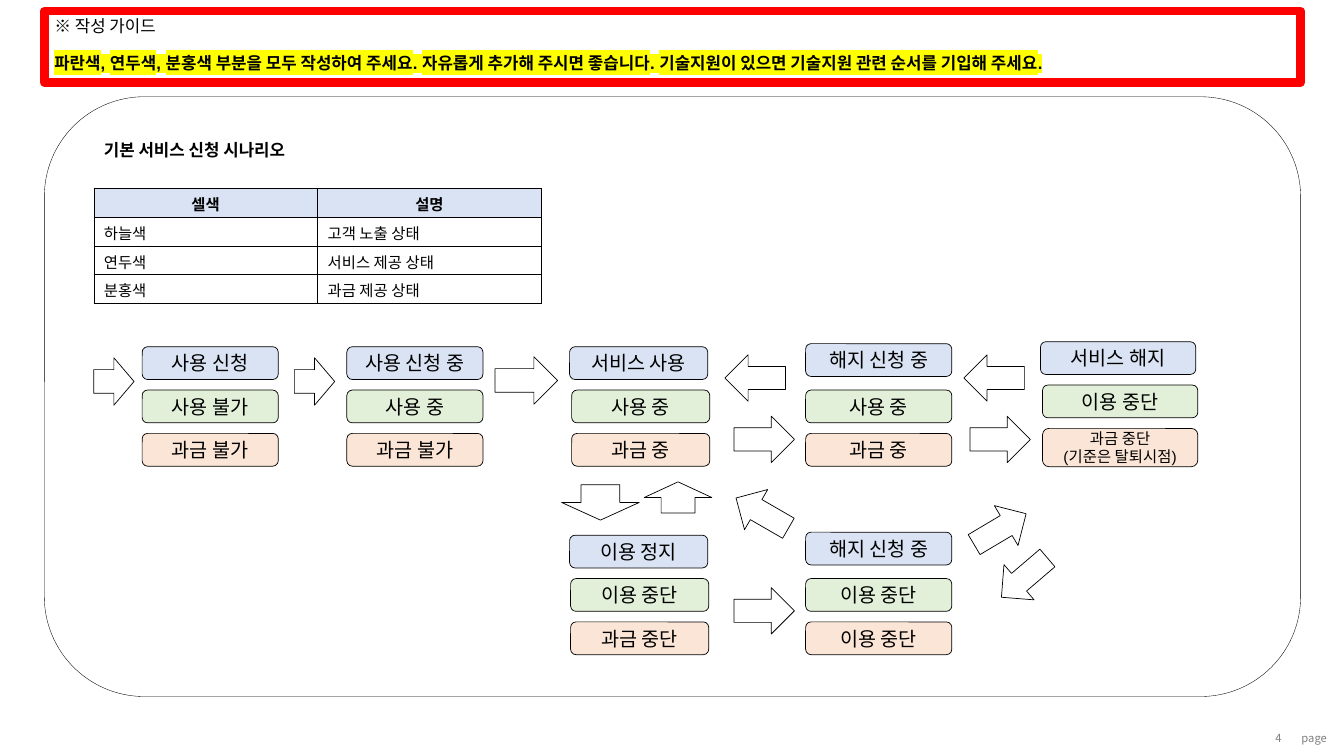
from dataclasses import dataclass

from lxml import etree
from pptx import Presentation
from pptx.dml.color import RGBColor
from pptx.enum.shapes import MSO_SHAPE
from pptx.enum.text import MSO_ANCHOR, MSO_AUTO_SIZE, PP_ALIGN
from pptx.oxml.ns import qn
from pptx.util import Inches, Pt

ROUNDED, RECTANGLE, ARROW = MSO_SHAPE.ROUNDED_RECTANGLE, MSO_SHAPE.RECTANGLE, MSO_SHAPE.RIGHT_ARROW
TOP, MIDDLE, BOTTOM = MSO_ANCHOR.TOP, MSO_ANCHOR.MIDDLE, MSO_ANCHOR.BOTTOM
LEFT, CENTER, RIGHT = PP_ALIGN.LEFT, PP_ALIGN.CENTER, PP_ALIGN.RIGHT
NO_AUTOFIT = MSO_AUTO_SIZE.NONE
TITLE_ONLY = 5

CELL = Inches(0.1)  # one column wide, one row high
STATE_STEP, STATE_HEIGHT, NOTE_HEIGHT = 4.3, 3.25, 3.8


@dataclass(frozen=True)
class Theme:
    latin: str = "Arial"
    korean: str = "Noto Sans CJK KR"
    ink: str = "000000"
    paper: str = "FFFFFF"
    muted: str = "7F7F7F"
    alert: str = "FF0000"
    marker: str = "FFFF00"
    customer: str = "DAE3F3"
    service: str = "E2F0D9"
    billing: str = "FBE5D6"
    state_size: int = 14
    heading_size: int = 12
    table_size: int = 11
    page_size: int = 8
    hairline: float = 0.25
    thin: float = 0.5
    thick: float = 6


def grid(*cells):
    return [round(CELL * count) for count in cells]


def color(code):
    return RGBColor.from_string(code)


class ScenarioPage:
    def __init__(self, deck, theme):
        self.theme = theme
        self.page = deck.slides.add_slide(deck.slide_layouts[TITLE_ONLY])

    def span(self, para, text, size, bold=False, ink=None, latin=None, marker=None):
        run = para.add_run()
        run.text = text
        font = run.font
        font.size, font.bold = Pt(size), bold
        font.color.rgb = color(ink or self.theme.ink)
        font.name = latin or self.theme.latin
        name = run._r.rPr.find(qn("a:latin"))
        korean = etree.Element(qn("a:ea"), typeface=self.theme.korean)
        name.addnext(korean)
        if marker:
            highlight = etree.Element(qn("a:highlight"))
            etree.SubElement(highlight, qn("a:srgbClr"), val=marker)
            name.addprevious(highlight)

    def frame(self, box, anchor, align):
        """Prepare a box for text and return its first paragraph."""
        frame = box.text_frame
        frame.word_wrap, frame.auto_size = True, NO_AUTOFIT
        frame.vertical_anchor = anchor
        frame.paragraphs[0].alignment = align
        return frame.paragraphs[0]

    def shape(self, kind, place, fill, line, width):
        box = self.page.shapes.add_shape(kind, *grid(*place))
        box.shadow.inherit = False
        if fill:
            box.fill.solid()
            box.fill.fore_color.rgb = color(fill)
        else:
            box.fill.background()
        box.line.color.rgb = color(line)
        box.line.width = Pt(width)
        return box

    def panel(self, place):
        self.shape(ROUNDED, place, None, self.theme.ink, self.theme.hairline)

    def title(self, text, place):
        box = self.page.shapes.title
        box.left, box.top, box.width, box.height = grid(*place)
        self.span(self.frame(box, TOP, LEFT), text, self.theme.heading_size, bold=True)

    def guide(self, mark, heading, request, place):
        theme = self.theme
        box = self.shape(RECTANGLE, place, theme.paper, theme.alert, theme.thick)
        para = self.frame(box, TOP, LEFT)
        self.span(para, mark, theme.heading_size, latin=theme.korean)
        self.span(para, heading, theme.heading_size)
        para = box.text_frame.add_paragraph()
        para.alignment, para.space_before = LEFT, Pt(theme.heading_size)
        self.span(para, request, theme.heading_size, bold=True, marker=theme.marker)

    def state(self, left, top, width, lines, fill):
        theme = self.theme
        noted = len(lines) > 1
        height = NOTE_HEIGHT if noted else STATE_HEIGHT
        size = theme.table_size if noted else theme.state_size
        box = self.shape(ROUNDED, (left, top, width, height), fill, theme.ink, theme.thin)
        para = self.frame(box, MIDDLE, CENTER)
        self.span(para, lines[0], size)
        for line in lines[1:]:
            para = box.text_frame.add_paragraph()
            para.alignment = CENTER
            self.span(para, line, size)

    def stack(self, left, top, width, labels, shift=0, lift=0):
        """Stack three states; shift moves the lower two right, lift raises the first."""
        fills = (self.theme.customer, self.theme.service, self.theme.billing)
        for index, (label, fill) in enumerate(zip(labels, fills)):
            across = left + (shift if index else 0)
            down = top + index * STATE_STEP - (0 if index else lift)
            self.state(across, down, width, label.split("\n"), fill)

    def arrow(self, place, rotation):
        arrow = self.shape(ARROW, place, self.theme.paper, self.theme.ink, self.theme.thin)
        arrow.rotation = rotation

    def border(self, cell):
        properties = cell._tc.get_or_add_tcPr()
        for index, side in enumerate(("a:lnL", "a:lnR", "a:lnT", "a:lnB")):
            line = etree.Element(qn(side), w=str(Pt(self.theme.hairline)))
            fill = etree.SubElement(line, qn("a:solidFill"))
            etree.SubElement(fill, qn("a:srgbClr"), val=self.theme.ink)
            properties.insert(index, line)

    def legend(self, rows, place):
        holder = self.page.shapes.add_table(len(rows), len(rows[0]), *grid(*place))
        table = holder.table
        table.first_row = table.horz_banding = False
        for down, row in enumerate(rows):
            for across, text in enumerate(row):
                cell = table.cell(down, across)
                header = down == 0
                cell.vertical_anchor = MIDDLE
                cell.margin_top, cell.margin_bottom = grid(0.4, 0.2)
                if header:
                    cell.fill.solid()
                    cell.fill.fore_color.rgb = color(self.theme.customer)
                else:
                    cell.fill.background()
                para = cell.text_frame.paragraphs[0]
                para.alignment = CENTER if header else LEFT
                self.span(para, text, self.theme.table_size, bold=header)
                self.border(cell)

    def footer(self, text, place):
        box = self.page.shapes.add_textbox(*grid(*place))
        para = self.frame(box, BOTTOM, RIGHT)
        self.span(para, text, self.theme.page_size, ink=self.theme.muted, latin=self.theme.korean)


STACKS = [
    (14.1, 34.4, 13.5, ("사용 신청", "사용 불가", "과금 불가"), 0, 0),
    (34.4, 34.4, 13.5, ("사용 신청 중", "사용 중", "과금 불가"), 0, 0),
    (56.5, 34.4, 13.7, ("서비스 사용", "사용 중", "과금 중"), 0.2, 0),
    (79.9, 34.4, 14.5, ("해지 신청 중", "사용 중", "과금 중"), 0, 0.3),
    (103.2, 33.9, 15.4, ("서비스 해지", "이용 중단", "과금 중단\n(기준은 탈퇴시점)"), 0.2, 0),
    (56.5, 53.1, 13.7, ("이용 정지", "이용 중단", "과금 중단"), 0.1, 0),
    (79.9, 53.1, 14.5, ("해지 신청 중", "이용 중단", "이용 중단"), 0, 0.3),
]
ARROWS = [  # left, top, width, height, rotation
    (9.3, 35.5, 4, 4.7, 0), (29.2, 35.5, 4, 4.7, 0), (49.1, 35.4, 6.2, 4.7, 0),
    (71.9, 35.2, 6, 4.6, 180), (95.6, 35.2, 6, 4.6, 180),
    (72.8, 41.3, 6, 4.6, 0), (96.2, 41.3, 6, 4.6, 0), (72.8, 58.3, 6, 4.6, 0),
    (57.8, 46, 3.5, 7.7, 90), (65.7, 46, 3.1, 6.7, 270),
    (72.6, 48.6, 6, 4.6, 210), (96.2, 50.2, 6, 4.6, 329.3), (98.6, 55, 6, 4.6, 139.5),
]
LEGEND = [("셀색", "설명"), ("하늘색", "고객 노출 상태"),
          ("연두색", "서비스 제공 상태"), ("분홍색", "과금 제공 상태")]
REQUEST = ("파란색, 연두색, 분홍색 부분을 모두 작성하여 주세요. 자유롭게 추가해 주시면 좋습니다. "
           "기술지원이 있으면 기술지원 관련 순서를 기입해 주세요.")


def main():
    deck = Presentation()
    deck.slide_width, deck.slide_height = Inches(13.33), Inches(7.5)
    scenario = ScenarioPage(deck, Theme())
    scenario.footer("4", (122.1, 72.1, 6, 2.3))
    scenario.footer("page", (126.6, 72.1, 6, 2.3))
    scenario.panel((4.4, 9.6, 124.6, 59.5))
    scenario.title("기본 서비스 신청 시나리오", (9.3, 13.4, 37.5, 3))
    scenario.guide("※ ", "작성 가이드", REQUEST, (4.4, 1.1, 124.6, 7.1))
    scenario.legend(LEGEND, (9.3, 18.7, 44.4, 11.4))
    for stack in STACKS:
        scenario.stack(*stack)
    for *place, rotation in ARROWS:
        scenario.arrow(place, rotation)
    deck.save("out.pptx")


if __name__ == "__main__":
    main()
